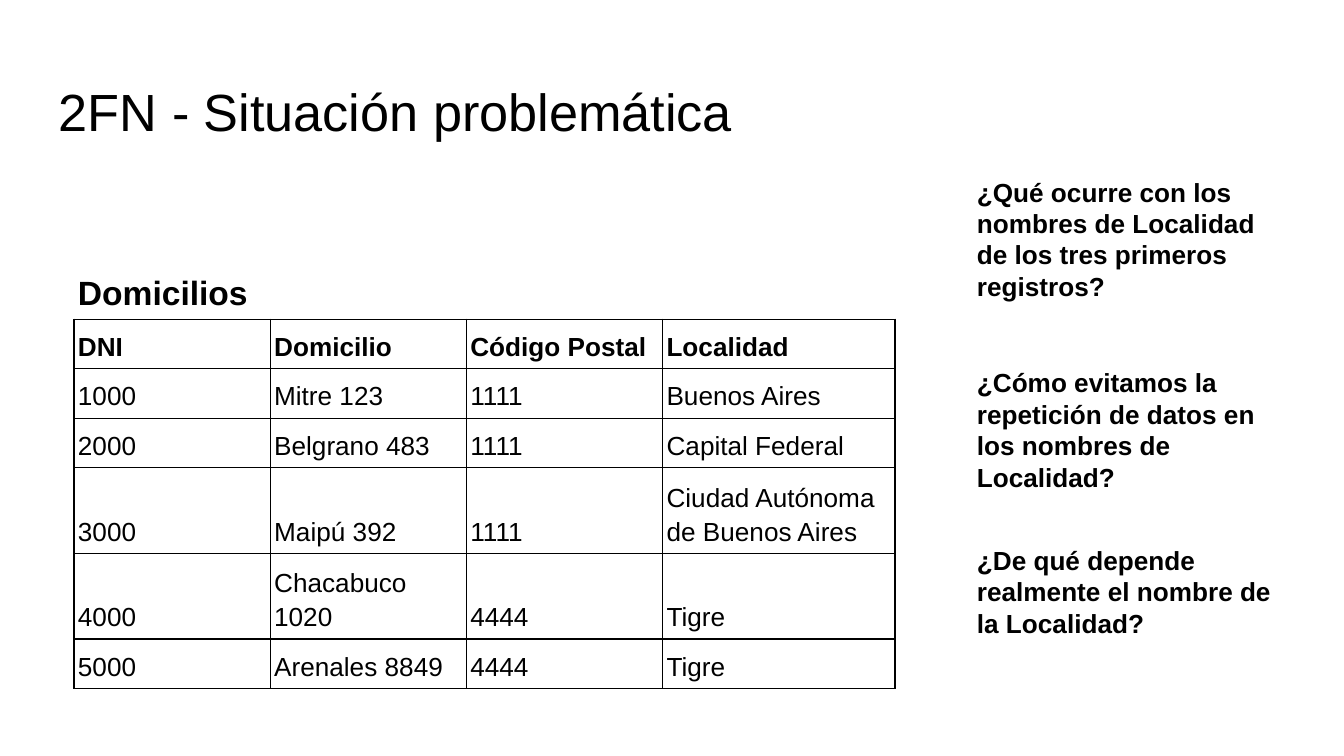
from dataclasses import dataclass

from lxml import etree
from pptx import Presentation
from pptx.dml.color import RGBColor
from pptx.enum.text import MSO_ANCHOR
from pptx.oxml.ns import qn
from pptx.util import Inches, Pt

BOTTOM = MSO_ANCHOR.BOTTOM
TOP = MSO_ANCHOR.TOP
GRID_COLUMNS, GRID_ROWS = 100, 56.25
UNIT = Inches(0.1)


@dataclass(frozen=True)
class Theme:
    """Colours, font and type sizes of the slide."""
    font: str = "Arial"
    ink: RGBColor = RGBColor(0, 0, 0)
    title: int = 28
    caption: int = 18
    body: int = 14
    rule: float = 0.75
    leading: float = 1.15


@dataclass(frozen=True)
class Box:
    """A region measured in grid columns and rows."""
    left: float
    top: float
    width: float
    height: float

    def emu(self):
        """Return the region in slide lengths."""
        return [round(side * UNIT) for side in (self.left, self.top, self.width, self.height)]


THEME = Theme()
CAPTION = "Domicilios"
HEADINGS = ["DNI", "Domicilio", "Código Postal", "Localidad"]
RECORDS = [
    ["1000", "Mitre 123", "1111", "Buenos Aires"],
    ["2000", "Belgrano 483", "1111", "Capital Federal"],
    ["3000", "Maipú 392", "1111", "Ciudad Autónoma de Buenos Aires"],
    ["4000", "Chacabuco 1020", "4444", "Tigre"],
    ["5000", "Arenales 8849", "4444", "Tigre"],
]
COLUMN_WIDTHS = [14.6, 14.6, 14.6, 17.3]
ROW_HEIGHTS = [3.8, 3.1, 3.1, 3.1, 5.8, 5.8, 3.1]
QUESTIONS = [
    (0, "¿Qué ocurre con los nombres de Localidad de los tres primeros registros?"),
    (14.2, "¿Cómo evitamos la repetición de datos en los nombres de Localidad?"),
    (27.4, "¿De qué depende realmente el nombre de la Localidad?"),
]


def add_words(paragraph, words, size, bold):
    """Add one run in the theme's font and ink."""
    run = paragraph.add_run()
    run.text = words
    run.font.name = THEME.font
    run.font.size = Pt(size)
    run.font.bold = bold
    run.font.color.rgb = THEME.ink


def add_text(slide, box, words, size, bold=False):
    """Place a wrapped text region in the box."""
    frame = slide.shapes.add_textbox(*box.emu()).text_frame
    frame.word_wrap = True
    frame.vertical_anchor = TOP
    frame.margin_left = frame.margin_right = Inches(0.1)
    frame.margin_top = frame.margin_bottom = Inches(0.1)
    add_words(frame.paragraphs[0], words, size, bold)


def set_borders(cell, ruled_sides):
    """Rule the named sides of a cell and clear the others."""
    properties = cell._tc.get_or_add_tcPr()
    for side in "LRTB":
        line = etree.SubElement(properties, qn(f"a:ln{side}"), w=str(Pt(THEME.rule)))
        if side in ruled_sides:
            fill = etree.SubElement(line, qn("a:solidFill"))
            etree.SubElement(fill, qn("a:srgbClr"), val=str(THEME.ink))
        else:
            etree.SubElement(line, qn("a:noFill"))


def fill_cell(cell, words, size, bold, ruled_sides):
    """Write and rule one table cell."""
    set_borders(cell, ruled_sides)
    cell.fill.background()
    cell.vertical_anchor = BOTTOM
    cell.margin_left = cell.margin_right = Inches(0.03)
    cell.margin_top = cell.margin_bottom = Inches(0.05)
    if words:
        paragraph = cell.text_frame.paragraphs[0]
        paragraph.line_spacing = THEME.leading
        add_words(paragraph, words, size, bold)


def add_addresses(slide, box):
    """Place the captioned table of addresses in the box."""
    caption_row = [CAPTION] + [""] * (len(HEADINGS) - 1)
    rows = [caption_row, HEADINGS, *RECORDS]
    table = slide.shapes.add_table(len(rows), len(HEADINGS), *box.emu()).table
    table.first_row = table.horz_banding = False
    for column, width in zip(table.columns, COLUMN_WIDTHS):
        column.width = round(width * UNIT)
    for index, (row, height, values) in enumerate(zip(table.rows, ROW_HEIGHTS, rows)):
        row.height = round(height * UNIT)
        size = THEME.caption if index == 0 else THEME.body
        ruled_sides = "B" if index == 0 else "LRTB"
        for cell, words in zip(row.cells, values):
            fill_cell(cell, words, size, index < 2, ruled_sides)


def add_questions(slide, box):
    """Place the questions down the box at their offsets."""
    for offset, question in QUESTIONS:
        place = Box(box.left, box.top + offset, box.width, 9)
        add_text(slide, place, question, THEME.body, bold=True)


def main():
    """Build and save the slide."""
    deck = Presentation()
    deck.slide_width = round(GRID_COLUMNS * UNIT)
    deck.slide_height = round(GRID_ROWS * UNIT)
    slide = deck.slides.add_slide(deck.slide_layouts[6])
    add_text(slide, Box(3.4, 4.9, 93.2, 6.3), "2FN - Situación problemática", THEME.title)
    add_addresses(slide, Box(5.5, 19.3, sum(COLUMN_WIDTHS), sum(ROW_HEIGHTS)))
    add_questions(slide, Box(71.7, 12.1, 24.9, 36.4))
    deck.save("out.pptx")


if __name__ == "__main__":
    main()
